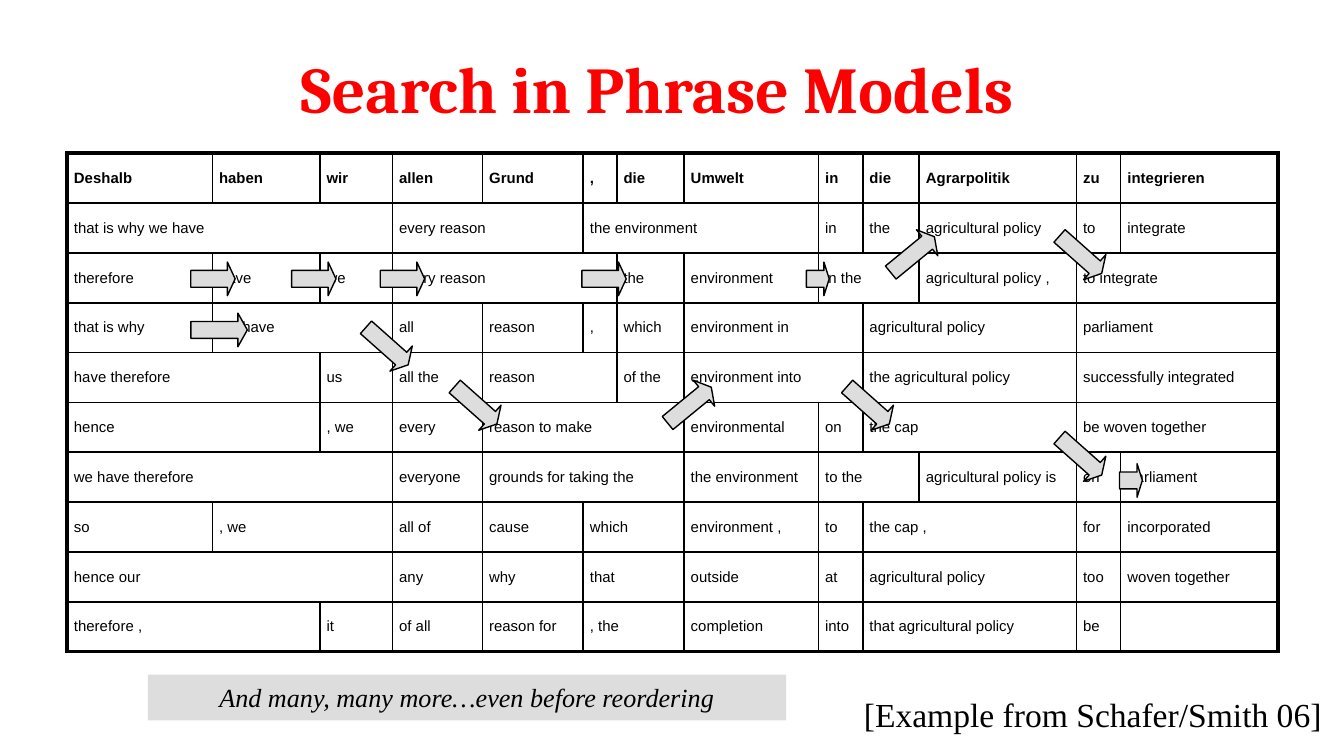
"""Build a slide showing phrase options for a German sentence and search paths through them."""
from dataclasses import dataclass

from lxml import etree
from pptx import Presentation
from pptx import util as u
from pptx.dml.color import RGBColor
from pptx.enum import shapes, text
from pptx.oxml.ns import qn

PX = u.Inches(1) // 100
SLIDE_WIDTH = 1000 * PX
SLIDE_HEIGHT = SLIDE_WIDTH * 9 // 16
BLACK = RGBColor(0x00, 0x00, 0x00)
RED = RGBColor(0xFF, 0x00, 0x00)
GREY = RGBColor(0xDD, 0xDD, 0xDD)

THIN, THICK = 1, 2.25
DOWN, UP = 41.6, -39.4
LONG = 42
MERGED = "<"
TABLE_LEFT, TABLE_TOP, TABLE_HEIGHT = 50, 114, 371
COLUMN_WIDTHS = (108, 80, 54, 67, 75, 25, 50, 100, 33, 42, 117, 33, 117)
PHRASES = (
    "Deshalb|haben|wir|allen|Grund|,|die|Umwelt|in|die|Agrarpolitik|zu|integrieren",
    "that is why we have|<|<|every reason|<|the environment|<|<|in|the|agricultural policy|to|integrate",
    "therefore|have|we|every reason|<|<|the|environment|in the|<|agricultural policy ,|to integrate|<",
    "that is why|we have|<|all|reason|,|which|environment in|<|agricultural policy|<|parliament|<",
    "have therefore|<|us|all the|reason|<|of the|environment into|<|the agricultural policy|<|successfully integrated|<",
    "hence|<|, we|every|reason to make|<|<|environmental|on|the cap|<|be woven together|<",
    "we have therefore|<|<|everyone|grounds for taking the|<|<|the environment|to the|<|agricultural policy is|on|parliament",
    "so|, we|<|all of|cause|which|<|environment ,|to|the cap ,|<|for|incorporated",
    "hence our|<|<|any|why|that|<|outside|at|agricultural policy|<|too|woven together",
    "therefore ,|<|it|of all|reason for|, the|<|completion|into|that agricultural policy|<|be|",
)


@dataclass(frozen=True)
class Step:
    left: int
    top: int
    width: int
    rotation: float = 0


@dataclass(frozen=True)
class Label:
    wording: str
    left: int
    top: int
    width: int
    height: int
    size: int
    font: str = "Times New Roman"
    color: RGBColor = BLACK
    bold: bool = False
    italic: bool = False
    align: text.PP_ALIGN = text.PP_ALIGN.CENTER
    anchor: text.MSO_ANCHOR = text.MSO_ANCHOR.MIDDLE
    fill: RGBColor | None = None


LABELS = (
    Label("Search in Phrase Models", 28, 31, 922, 77, 35, "Cambria", RED, bold=True,
          anchor=text.MSO_ANCHOR.TOP),
    Label("[Example from Schafer/Smith 06]", 633, 512, 367, 39, 18,
          align=text.PP_ALIGN.LEFT),
    Label("And many, many more…even before reordering", 110, 502, 475, 34, 14,
          italic=True, fill=GREY),
)

STEPS = (
    Step(267, 245, LONG, DOWN),
    Step(142, 233, LONG),
    Step(333, 289, LONG, DOWN),
    Step(492, 289, LONG, UP),
    Step(625, 289, LONG, DOWN),
    Step(783, 327, LONG, DOWN),
    Step(833, 345, 17),
    *(Step(left, 195, 33) for left in (142, 217, 283, 433)),
    Step(600, 195, 17),
    Step(658, 177, LONG, UP),
    Step(783, 177, LONG, DOWN),
)


def draw_label(slide, label: Label) -> None:
    frame = [PX * n for n in (label.left, label.top, label.width, label.height)]
    if label.fill is None:
        box = slide.shapes.add_textbox(*frame)
    else:
        box = slide.shapes.add_shape(shapes.MSO_SHAPE.RECTANGLE, *frame)
        box.shadow.inherit = False
        box.fill.solid()
        box.fill.fore_color.rgb = label.fill
        box.line.fill.background()
    box.text_frame.text = label.wording
    box.text_frame.word_wrap = True
    box.text_frame.vertical_anchor = label.anchor
    paragraph = box.text_frame.paragraphs[0]
    paragraph.alignment = label.align
    font = paragraph.runs[0].font
    font.name, font.size = label.font, u.Pt(label.size)
    font.bold, font.italic = label.bold, label.italic
    font.color.rgb = label.color


def draw_borders(cell, widths: dict[str, float]) -> None:
    properties = cell._tc.get_or_add_tcPr()
    for side, width in widths.items():
        border = etree.SubElement(properties, qn(f"a:ln{side}"), w=str(u.Pt(width)))
        fill = etree.SubElement(border, qn("a:solidFill"))
        etree.SubElement(fill, qn("a:srgbClr"), val=str(BLACK))
    cell.fill.background()


def write_phrase(cell, phrase: str, bold: bool) -> None:
    cell.vertical_anchor = text.MSO_ANCHOR.MIDDLE
    cell.margin_left, cell.margin_right = 5 * PX, 0
    cell.margin_top = cell.margin_bottom = 4 * PX
    paragraph = cell.text_frame.paragraphs[0]
    paragraph.text = phrase
    paragraph.space_before = u.Pt(1.6)
    for run in paragraph.runs:
        run.font.name, run.font.size = "Arial", u.Pt(8)
        run.font.bold = bold
        run.font.color.rgb = BLACK
    etree.SubElement(paragraph._p, qn("a:endParaRPr"), sz="800")


def draw_phrase_table(slide) -> None:
    row_count, column_count = len(PHRASES), len(COLUMN_WIDTHS)
    frame = slide.shapes.add_table(
        row_count, column_count, TABLE_LEFT * PX, TABLE_TOP * PX,
        sum(COLUMN_WIDTHS) * PX, TABLE_HEIGHT * PX)
    table = frame.table
    table.first_row = table.horz_banding = False
    for column, width in zip(table.columns, COLUMN_WIDTHS):
        column.width = width * PX
    for row in table.rows:
        row.height = TABLE_HEIGHT * PX // row_count

    for r, line in enumerate(PHRASES):
        phrases = line.split("|")
        starts = [c for c, phrase in enumerate(phrases) if phrase != MERGED]
        for start, end in zip(starts, starts[1:] + [column_count]):
            widths = {
                "L": THICK if start == 0 else THIN,
                "R": THICK if end == column_count else THIN,
                "T": THICK if r == 0 else THIN,
                "B": THICK if r == row_count - 1 else THIN,
            }
            for c in range(start, end):
                wording = phrases[c] if c == start else ""
                write_phrase(table.cell(r, c), wording, bold=r == 0)
                draw_borders(table.cell(r, c), widths)
            if end - start > 1:
                table.cell(r, start).merge(table.cell(r, end - 1))


def draw_step(slide, step: Step) -> None:
    arrow = slide.shapes.add_shape(
        shapes.MSO_SHAPE.RIGHT_ARROW,
        step.left * PX, step.top * PX, step.width * PX, 25 * PX)
    arrow.adjustments[1] = 0.28 if step.width == LONG else 0.23
    arrow.rotation = step.rotation
    arrow.shadow.inherit = False
    arrow.fill.solid()
    arrow.fill.fore_color.rgb = GREY
    arrow.line.color.rgb = BLACK
    arrow.line.width = u.Pt(0.75)


def main() -> None:
    deck = Presentation()
    deck.slide_width, deck.slide_height = SLIDE_WIDTH, SLIDE_HEIGHT
    slide = deck.slides.add_slide(deck.slide_layouts[6])
    title, *notes = LABELS
    draw_label(slide, title)
    draw_phrase_table(slide)
    for note in notes:
        draw_label(slide, note)
    for step in STEPS:
        draw_step(slide, step)
    deck.save("out.pptx")


if __name__ == "__main__":
    main()
